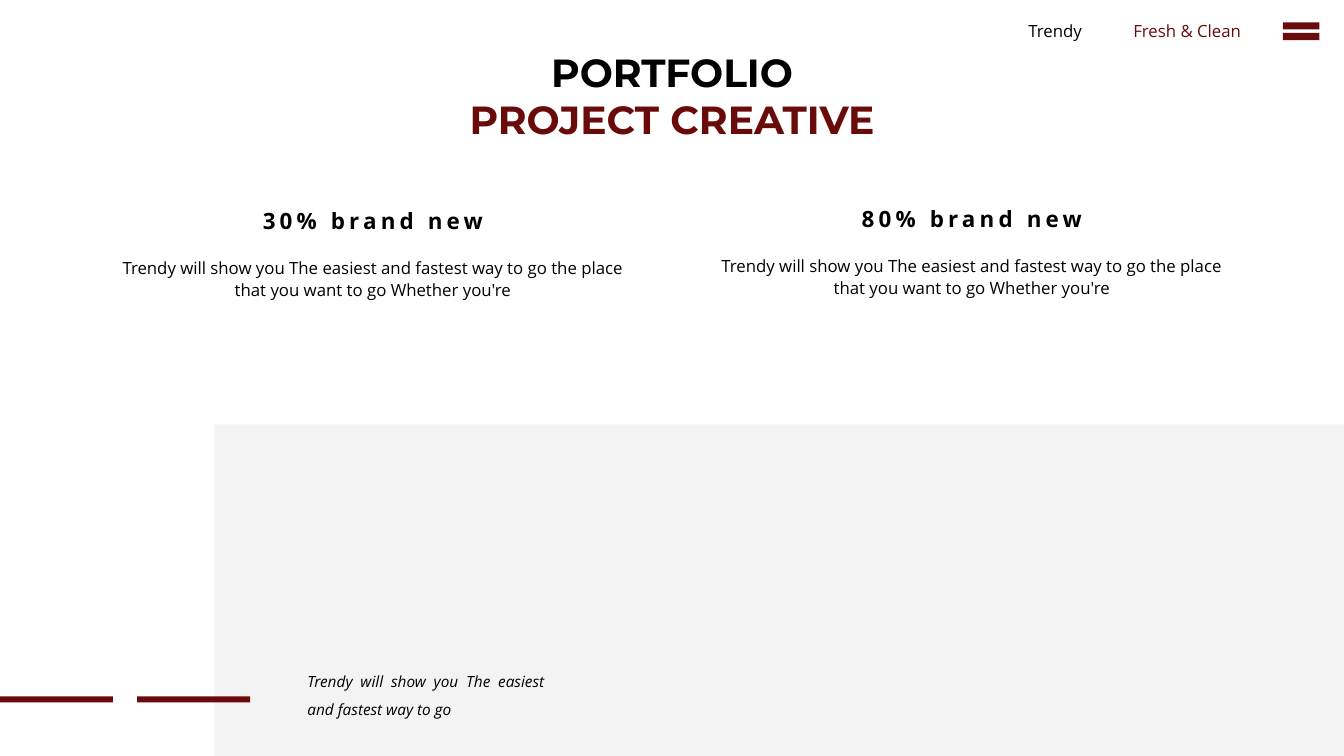
from lxml.etree import SubElement
from pptx import Presentation
from pptx.dml.color import RGBColor
from pptx.enum.shapes import MSO_SHAPE
from pptx.enum.text import MSO_AUTO_SIZE, PP_ALIGN
from pptx.oxml.ns import qn
from pptx.util import Inches, Pt

BLACK = RGBColor(0x00, 0x00, 0x00)
MAROON = RGBColor(0x69, 0x0B, 0x0B)
PALE = RGBColor(0xF2, 0xF2, 0xF2)
BLURB = ("Trendy will show you The easiest and fastest way to go the place "
         "that you want to go Whether you're")


def add_block(slide, kind, left, top, width, height, color):
    block = slide.shapes.add_shape(
        kind, Inches(left), Inches(top), Inches(width), Inches(height))
    block.shadow.inherit = False
    block.fill.solid()
    block.fill.fore_color.rgb = color
    block.line.fill.background()
    return block


def add_text(slide, left, top, width, height, runs, size, face="Open Sans",
             bold=False, italic=False, align=PP_ALIGN.CENTER, lead=1.0,
             wrap=True, track=0):
    box = slide.shapes.add_textbox(
        Inches(left), Inches(top), Inches(width), Inches(height))
    frame = box.text_frame
    frame.word_wrap = wrap
    frame.auto_size = MSO_AUTO_SIZE.SHAPE_TO_FIT_TEXT
    para = frame.paragraphs[0]
    para.alignment = align
    para.line_spacing = lead
    font = para.font
    font.name, font.size = face, Pt(size)
    font.bold, font.italic = bold, italic
    for text, color in runs:
        run = para.add_run()
        run.text = text
        run.font.color.rgb = color
        if track:
            run.font._element.set("spc", str(track * 100))


def add_panel(slide, left, top, width, height):
    panel = add_block(slide, MSO_SHAPE.RECTANGLE, left, top, width, height, PALE)
    tint = panel.fill._xPr.find(qn("a:solidFill"))[0]
    SubElement(tint, qn("a:alpha")).set("val", "90000")
    add_text(slide, left + 0.82, top + 2.32, 2.55, 0.63,
             [("Trendy will show you The easiest and fastest way to go", BLACK)],
             11, italic=True, align=PP_ALIGN.JUSTIFY, lead=1.5)


def add_dashes(slide, left, top, width, height):
    for step in range(2):
        add_block(slide, MSO_SHAPE.RECTANGLE, left + step * 1.36, top,
                  width, height, MAROON)


def add_title(slide, left, top, width, height):
    add_text(slide, left, top, width, height,
             [("PORTFOLIO ", BLACK), ("PROJECT CREATIVE", MAROON)],
             28, "Montserrat", bold=True)


def add_menu(slide, left, top, height):
    add_text(slide, left, top, 0.75, height, [("Trendy", BLACK)], 12, wrap=False)
    add_text(slide, left + 1.04, top, 1.29, height,
             [("Fresh & Clean", MAROON)], 12, wrap=False)
    add_block(slide, MSO_SHAPE.MATH_EQUAL, left + 2.57, top, 0.49, height, MAROON)


def add_claim(slide, left, top, width, head):
    add_text(slide, left + (width - 2.61) / 2, top, 2.61, 0.4,
             [(head, BLACK)], 16, bold=True, lead=1.2, track=3)
    add_text(slide, left, top + 0.54, width, 0.53,
             [(BLURB, BLACK)], 12, lead=1.1)


def main():
    deck = Presentation()
    deck.slide_width, deck.slide_height = Inches(13.33), Inches(7.5)
    slide = deck.slides.add_slide(deck.slide_layouts[6])
    add_panel(slide, 2.13, 4.21, 11.2, 3.29)
    add_dashes(slide, 0, 6.91, 1.12, 0.06)
    add_title(slide, 4.43, 0.43, 4.47, 1.04)
    add_menu(slide, 10.09, 0.16, 0.3)
    add_claim(slide, 1.06, 1.95, 5.28, "30% brand new")
    add_claim(slide, 7, 1.93, 5.28, "80% brand new")
    deck.save("out.pptx")


if __name__ == "__main__":
    main()
